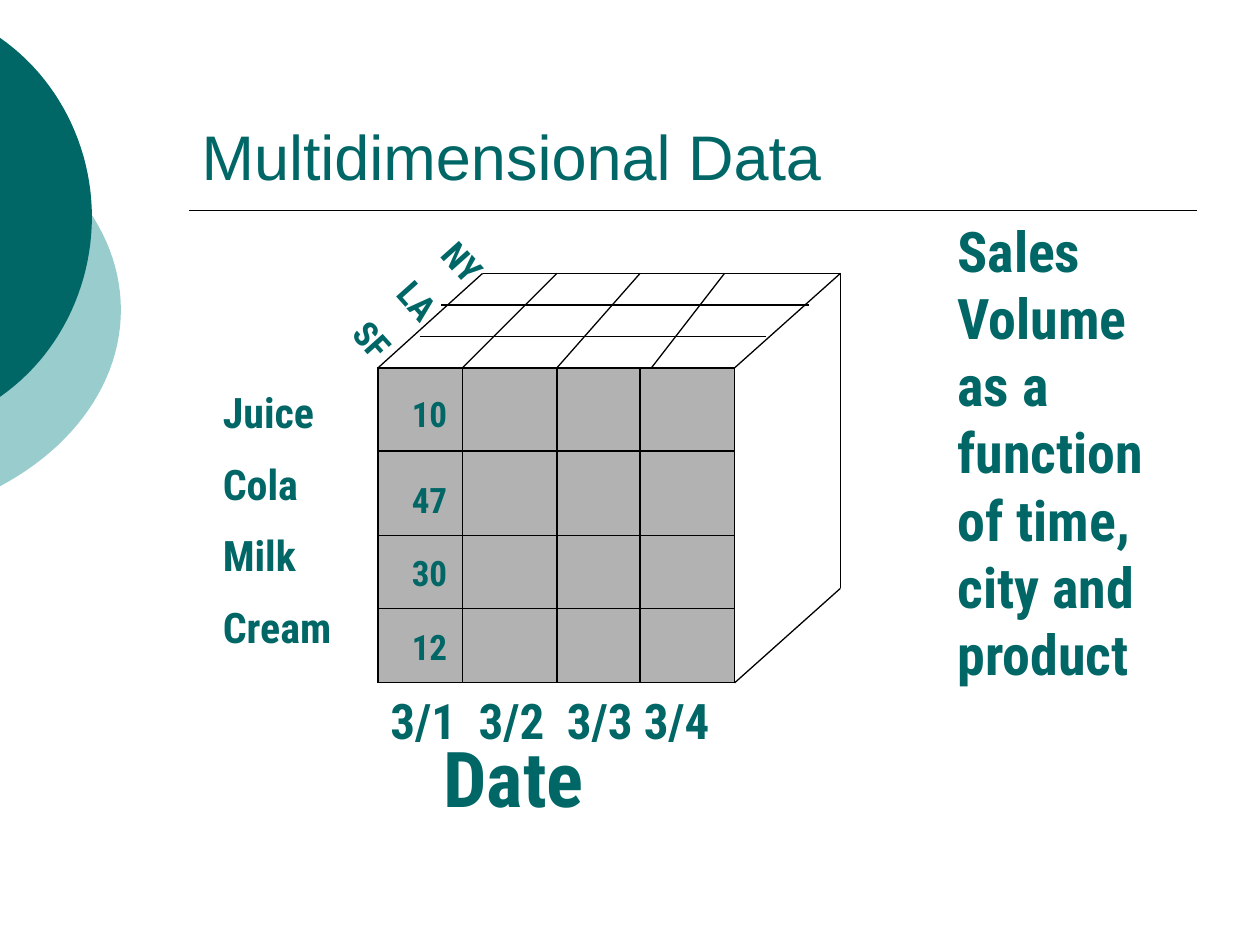
"""Build a slide showing a sales cube by product, date and city."""
from dataclasses import dataclass

from lxml import etree
from pptx import Presentation
from pptx.dml.color import RGBColor
from pptx.enum import shapes, text
from pptx.oxml import ns
from pptx.util import Inches, Pt


@dataclass(frozen=True)
class Theme:
    teal: RGBColor = RGBColor(0x00, 0x66, 0x66)
    pale_teal: RGBColor = RGBColor(0x99, 0xCC, 0xCC)
    gray: RGBColor = RGBColor(0xB2, 0xB2, 0xB2)
    black: RGBColor = RGBColor(0, 0, 0)
    heading_font: str = "Arial"
    label_font: str = "Roboto Condensed"
    title: int = 36
    axis_name: int = 44
    summary: int = 32
    dates: int = 28
    products: int = 24
    small: int = 20


theme = Theme()
deck = Presentation()
deck.slide_width, deck.slide_height = Inches(10), Inches(7.5)
slide = deck.slides.add_slide(deck.slide_layouts[5])


def add_line(x1, y1, x2, y2, width=0.75):
    edge = slide.shapes.add_connector(
        shapes.MSO_CONNECTOR.STRAIGHT, Inches(x1), Inches(y1), Inches(x2), Inches(y2))
    edge.line.color.rgb = theme.black
    edge.line.width = Pt(width)
    etree.SubElement(edge._element.spPr, ns.qn("a:effectLst"))


def add_label(box, lines, size, rotation=0):
    label = slide.shapes.add_textbox(*map(Inches, box))
    label.rotation = rotation
    frame = label.text_frame
    frame.word_wrap = True
    frame.auto_size = text.MSO_AUTO_SIZE.SHAPE_TO_FIT_TEXT
    frame.vertical_anchor = text.MSO_ANCHOR.BOTTOM
    for index, line in enumerate(lines):
        paragraph = frame.add_paragraph() if index else frame.paragraphs[0]
        paragraph.space_before = Pt(size / 2)
        run = paragraph.add_run()
        run.text = line
        run.font.name, run.font.size, run.font.bold = theme.label_font, Pt(size), True
        run.font.color.rgb = theme.teal


circle_arcs = [
    (theme.pale_teal, [[(0, 1.06), (0.6, 1.38), (0.96, 1.9), (0.96, 2.46)],
                       [(0.96, 2.46), (0.96, 3.02), (0.6, 3.54), (0, 3.86)]]),
    (theme.teal, [[(0, 0.3), (0.46, 0.62), (0.73, 1.16), (0.73, 1.72)],
                  [(0.73, 1.72), (0.73, 2.29), (0.46, 2.83), (0, 3.15)]]),
]
steps = 24
for color, arcs in circle_arcs:
    rim = []
    for arc in arcs:
        for step in range(steps + 1):
            t = step / steps
            weights = ((1 - t) ** 3, 3 * t * (1 - t) ** 2, 3 * t ** 2 * (1 - t), t ** 3)
            rim.append(tuple(Inches(sum(w * point[axis] for w, point in zip(weights, arc)))
                             for axis in (0, 1)))
    outline = slide.shapes.build_freeform(*rim[0], scale=1.0)
    outline.add_line_segments(rim[1:], close=True)
    circle = outline.convert_to_shape()
    circle.shadow.inherit = False
    circle.fill.solid()
    circle.fill.fore_color.rgb = color
    circle.line.fill.background()

add_line(1.5, 1.67, 9.5, 1.67, 1)

title = slide.shapes.title
title.left, title.top, title.width, title.height = map(Inches, (1.5, 0.33, 8, 1.25))
title.text_frame.vertical_anchor = text.MSO_ANCHOR.BOTTOM
heading = title.text_frame.paragraphs[0]
heading.alignment = text.PP_ALIGN.LEFT
heading_run = heading.add_run()
heading_run.text = "Multidimensional Data"
heading_run.font.name, heading_run.font.size = theme.heading_font, Pt(theme.title)
heading_run.font.color.rgb = theme.teal

left, top, right, bottom = 3, 2.92, 5.83, 5.42
back_left, back_top, back_right, back_bottom = 3.83, 2.17, 6.67, 4.67
columns = [3.67, 4.42, 5.08]
rows = [3.58, 4.25, 4.83]

front_blocks = [
    (left, top, right, bottom),
    (left, top, columns[1], bottom),
    (left, top, right, rows[1]),
    (columns[0], rows[0], columns[2], rows[2]),
    (left, rows[0], right, rows[2]),
]
for index, (x1, y1, x2, y2) in enumerate(front_blocks):
    block = slide.shapes.add_shape(
        shapes.MSO_SHAPE.RECTANGLE, Inches(x1), Inches(y1), Inches(x2 - x1), Inches(y2 - y1))
    block.shadow.inherit = False
    block.line.color.rgb = theme.black
    block.line.width = Pt(0.75)
    if index:
        block.fill.background()
    else:
        block.fill.solid()
        block.fill.fore_color.rgb = theme.gray

cube_edges = [
    (back_right, back_top, right, top),
    (back_left, back_top, left, top),
    (back_right, back_bottom, right, bottom),
    (back_left, back_top, back_right, back_top),
    (back_right, back_top, back_right, back_bottom),
    (columns[0], top, columns[0], bottom),
    (columns[2], top, columns[2], bottom),
    (columns[0], top, 4.42, back_top),
    (5.08, back_top, columns[1], top),
    (5.17, top, 5.75, back_top),
    (3.33, 2.67, 6.08, 2.67),
    (3.5, 2.42, 6.42, 2.42),
]
for cube_edge in cube_edges:
    add_line(*cube_edge)

for sales, sales_top in zip(("10", "47", "30", "12"), (3.07, 3.75, 4.33, 4.92)):
    add_label((3.17, sales_top, 0.67, 0.43), [sales], theme.small)

add_label((1.67, 2.92, 1.17, 2.3), ["Juice", "Cola", "Milk", "Cream"], theme.products)
add_label((2.91, 2.05, 1.56, 1.43), ["NY", "LA", "SF"], theme.small, rotation=48.2)
add_label((7.5, 1.67, 1.92, 3.83),
          ["Sales Volume as a function of time, city and product"], theme.summary)
add_label((3, 5.43, 2.75, 0.57), ["3/1  3/2  3/3 3/4"], theme.dates)
add_label((3.42, 5.75, 1.92, 0.83), ["Date"], theme.axis_name)

deck.save("out.pptx")
